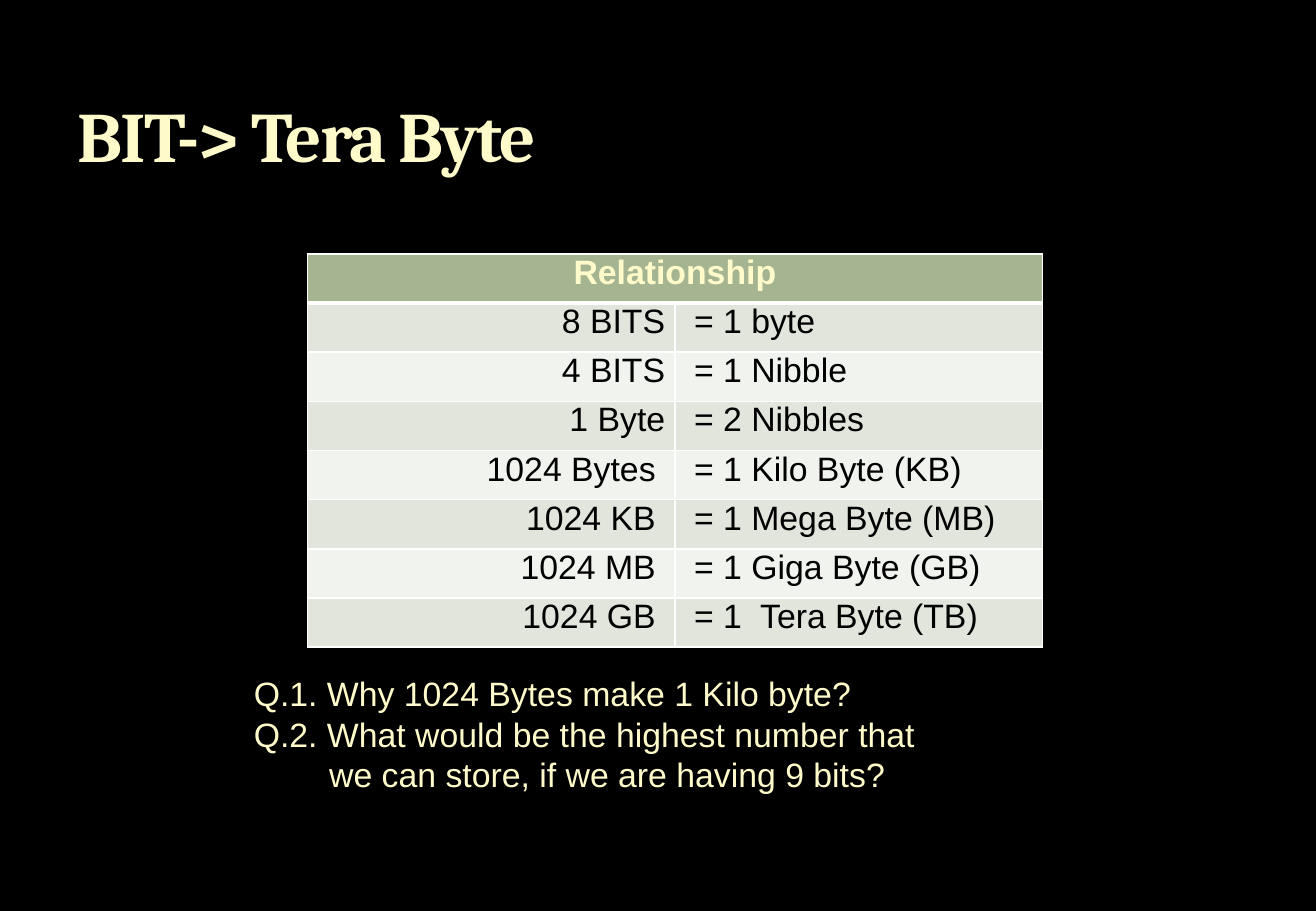
import pptx
import pptx.dml.color
import pptx.enum.text
import pptx.oxml
import pptx.oxml.ns
import pptx.util
from pptx.util import Inches

ALIGN = pptx.enum.text.PP_ALIGN
ANCHOR = pptx.enum.text.MSO_ANCHOR
CREAM, BLACK, WHITE = "FEFAC9", "000000", "FFFFFF"
HEADER_FILL, BAND_FILLS = "A5B592", ("E1E5DC", "F0F3EE")

RELATIONSHIPS = [
    ("8 BITS", " = 1 byte"),
    ("4 BITS", " = 1 Nibble"),
    ("1 Byte", " = 2 Nibbles"),
    ("1024 Bytes ", " = 1 Kilo Byte (KB)"),
    ("1024 KB ", " = 1 Mega Byte (MB)"),
    ("1024 MB ", " = 1 Giga Byte (GB)"),
    ("1024 GB ", " = 1  Tera Byte (TB)"),
]
# Each line with its left indent in inches
QUESTIONS = [
    ("Q.1. Why 1024 Bytes make 1 Kilo byte?", 0),
    ("Q.2. What would be the highest number that", 0),
    ("we can store, if we are having 9 bits?", 0.62),
]


def rgb(value):
    return pptx.dml.color.RGBColor.from_string(value)


class SlideBuilder:
    def __init__(self, slide):
        self.slide = slide

    def background(self, color):
        fill = self.slide.background.fill
        fill.solid()
        fill.fore_color.rgb = rgb(color)

    def add_text(self, paragraph, text, color=CREAM, size=20, font="Arial",
                 bold=False, align=ALIGN.LEFT):
        paragraph.alignment = align
        run = paragraph.add_run()
        run.text = text
        run.font.name = font
        run.font.size = pptx.util.Pt(size)
        run.font.bold = bold
        run.font.color.rgb = rgb(color)
        return run

    def text_frame(self, left, top, width, height, anchor=ANCHOR.TOP):
        box = self.slide.shapes.add_textbox(
            Inches(left), Inches(top), Inches(width), Inches(height))
        box.text_frame.word_wrap = True
        box.text_frame.vertical_anchor = anchor
        return box.text_frame

    def title(self, text):
        frame = self.text_frame(0.54, 0.17, 9.75, 1.33, ANCHOR.BOTTOM)
        run = self.add_text(frame.paragraphs[0], text, size=42, font="Cambria", bold=True)
        run._r.get_or_add_rPr().set("spc", "-100")

    def lines(self, entries, left, top, width, height):
        frame = self.text_frame(left, top, width, height)
        for index, (text, indent) in enumerate(entries):
            paragraph = frame.add_paragraph() if index else frame.paragraphs[0]
            if indent:
                properties = paragraph._p.get_or_add_pPr()
                properties.set("marL", str(Inches(indent)))
                properties.set("indent", "0")
            self.add_text(paragraph, text)

    def style_cell(self, cell, fill, top=1, bottom=1):
        """Set margins, fill and white borders; top and bottom are in points."""
        cell.margin_left = cell.margin_right = Inches(0.08)
        cell.margin_top = cell.margin_bottom = 0
        cell.fill.solid()
        cell.fill.fore_color.rgb = rgb(fill)
        properties = cell._tc.get_or_add_tcPr()
        borders = (("L", 1), ("R", 1), ("T", top), ("B", bottom))
        for position, (side, width) in enumerate(borders):
            properties.insert(position, pptx.oxml.parse_xml(
                f'<a:ln{side} {pptx.oxml.ns.nsdecls("a")} w="{pptx.util.Pt(width)}">'
                f'<a:solidFill><a:srgbClr val="{WHITE}"/></a:solidFill></a:ln{side}>'))

    def table(self, heading, rows, left, top, width, height):
        table = self.slide.shapes.add_table(
            len(rows) + 1, 2, Inches(left), Inches(top),
            Inches(width), Inches(height)).table
        for column in range(2):
            self.style_cell(table.cell(0, column), HEADER_FILL, bottom=3)
        table.cell(0, 0).merge(table.cell(0, 1))
        self.add_text(table.cell(0, 0).text_frame.paragraphs[0], heading,
                      bold=True, align=ALIGN.CENTER)
        for row, values in enumerate(rows, start=1):
            for column, align in enumerate((ALIGN.RIGHT, ALIGN.LEFT)):
                cell = table.cell(row, column)
                self.style_cell(cell, BAND_FILLS[(row - 1) % 2],
                                top=3 if row == 1 else 1)
                self.add_text(cell.text_frame.paragraphs[0], values[column],
                              BLACK, align=align)


def main():
    deck = pptx.Presentation()
    deck.slide_width, deck.slide_height = Inches(10.83), Inches(7.5)
    builder = SlideBuilder(deck.slides.add_slide(deck.slide_layouts[6]))
    builder.background(BLACK)
    builder.table("Relationship", RELATIONSHIPS, 2.53, 2.09, 6.05, 3.24)
    builder.title("BIT-> Tera Byte")
    builder.lines(QUESTIONS, 1.99, 5.49, 6.41, 1.11)
    deck.save("out.pptx")


if __name__ == "__main__":
    main()
